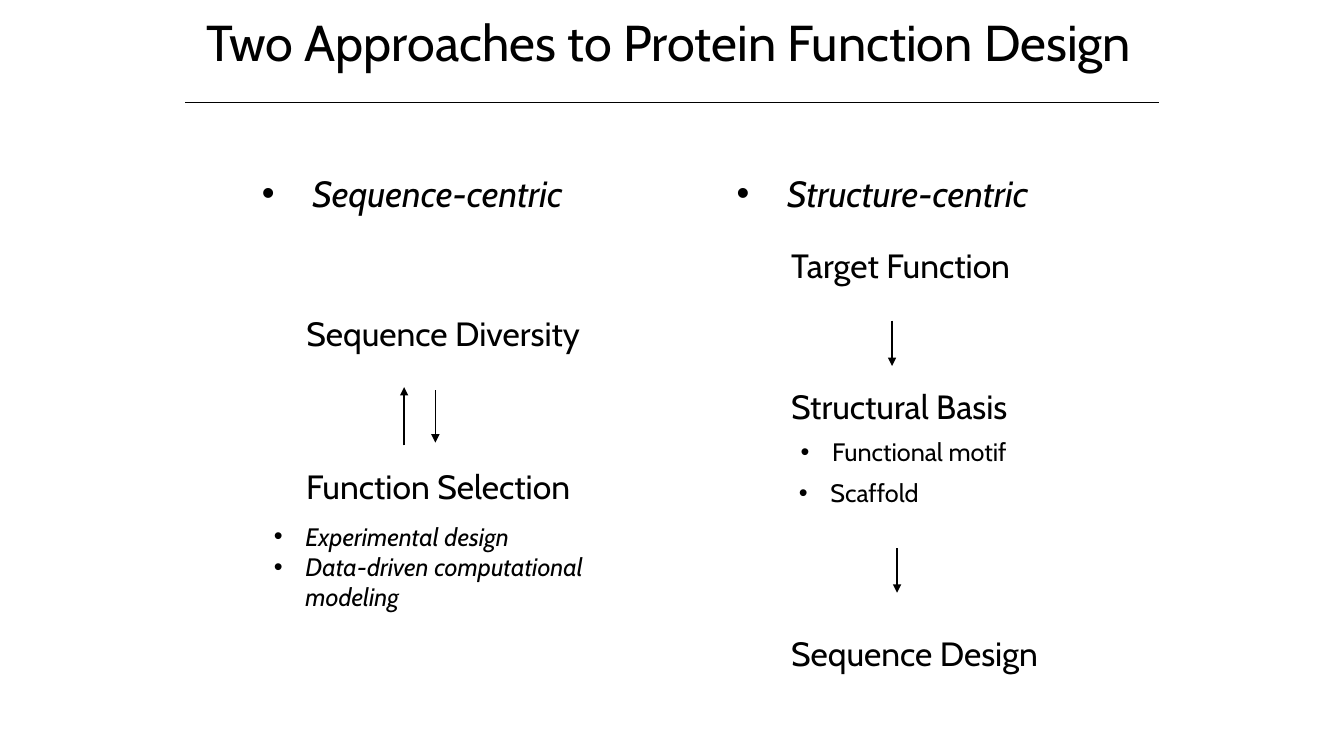
import pptx
import pptx.dml.color
import pptx.enum.shapes
import pptx.enum.text
import pptx.oxml
import pptx.oxml.ns
import pptx.util
from dataclasses import dataclass
from typing import NamedTuple

Pt = pptx.util.Pt
ALIGN = pptx.enum.text.PP_ALIGN


@dataclass(frozen=True)
class Theme:
    font: str = "Cabin"
    ink: pptx.dml.color.RGBColor = pptx.dml.color.RGBColor(0, 0, 0)
    paper: pptx.dml.color.RGBColor = pptx.dml.color.RGBColor(255, 255, 255)
    title: int = 36
    heading: int = 26
    step: int = 24
    detail: int = 18
    line: int = 1
    heading_indent: float = 36
    detail_indent: float = 22.5


class Box(NamedTuple):
    left: float
    top: float
    width: float
    height: float

    def inner(self, left, top, width, height):
        """Return a box whose corner is offset from this one's."""
        return Box(self.left + left, self.top + top, width, height)


THEME = Theme()


def add_drawing_element(parent, tag, **attributes):
    element = pptx.oxml.parse_xml(f"<a:{tag} {pptx.oxml.ns.nsdecls('a')}/>")
    for name, value in attributes.items():
        element.set(name, str(value))
    parent.append(element)


def add_text(shapes, box, lines, size, indent=0, italic=False,
             align=ALIGN.LEFT, wrap=True, grow=True):
    """Add a text box; a non-zero indent makes its lines bullets."""
    frame = shapes.add_textbox(*map(Pt, box)).text_frame
    frame.word_wrap = wrap
    if grow:
        frame.auto_size = pptx.enum.text.MSO_AUTO_SIZE.SHAPE_TO_FIT_TEXT
    frame.text = "\n".join(lines)
    for para in frame.paragraphs:
        para.alignment = align
        if indent:
            properties = para._p.get_or_add_pPr()
            properties.set("marL", str(Pt(indent)))
            properties.set("indent", str(-Pt(indent)))
            add_drawing_element(properties, "buFont", typeface="Arial")
            add_drawing_element(properties, "buChar", char="•")
        for span in para.runs:
            span.font.name = THEME.font
            span.font.size = Pt(size)
            span.font.italic = italic
            span.font.color.rgb = THEME.ink
    return frame


def add_line(shapes, start, end, arrow=False):
    line = shapes.add_connector(pptx.enum.shapes.MSO_CONNECTOR.STRAIGHT,
                                *map(Pt, (*start, *end)))
    line.line.color.rgb = THEME.ink
    line.line.width = Pt(THEME.line)
    if arrow:
        add_drawing_element(line.line._get_or_add_ln(), "tailEnd", type="triangle")
    add_drawing_element(line._element.spPr, "effectLst")


def add_vertical_arrow(shapes, box, x, start, end):
    """Draw an arrow at offset x, between two offsets from the box's top."""
    add_line(shapes, (box.left + x, box.top + start),
             (box.left + x, box.top + end), arrow=True)


def add_title(page, box):
    frame = add_text(page.shapes, box.inner(3.6, 0, 683.3, 54.7),
                     ["Two Approaches to Protein Function Design"],
                     THEME.title, align=ALIGN.CENTER, grow=False)
    frame.paragraphs[0].line_spacing = 0.9
    rule = box.top + box.height
    add_line(page.shapes, (box.left, rule), (box.left + box.width, rule))


def add_heading(page, box, text):
    add_text(page.shapes, box.inner(0, 0, box.width, 38.9), [text],
             THEME.heading, THEME.heading_indent, italic=True)


def add_sequence_column(page, box):
    add_heading(page, box, "Sequence-centric")
    shapes = page.shapes.add_group_shape().shapes
    for text, top, width in (("Sequence Diversity", 101.5, 214.6),
                             ("Function Selection", 210.2, 211)):
        add_text(shapes, box.inner(31.7, top, width, 36), [text],
                 THEME.step, wrap=False)
    add_vertical_arrow(shapes, box, 131, 159.8, 197.3)
    add_vertical_arrow(shapes, box, 108.7, 199.4, 157.7)
    add_text(shapes, box.inner(8.6, 249.8, box.width, 72.7),
             ["Experimental design", "Data-driven computational modeling"],
             THEME.detail, THEME.detail_indent, italic=True)


def add_structure_column(page, box):
    add_heading(page, box, "Structure-centric")
    shapes = page.shapes.add_group_shape().shapes
    for text, top, width, wrap in (("Target Function", 52.6, 174.2, False),
                                   ("Structural Basis", 153.4, 223.9, True),
                                   ("Sequence Design", 329.8, 239.8, True)):
        add_text(shapes, box.inner(38.9, top, width, 36), [text],
                 THEME.step, wrap=wrap)
    for text, left, top, width in (("Functional motif", 36, 189.4, 180.7),
                                   ("Scaffold", 12.2, 218.9, 164.2)):
        add_text(shapes, box.inner(left, top, width, 28.8), [text],
                 THEME.detail, THEME.detail_indent, align=ALIGN.CENTER)
    add_vertical_arrow(shapes, box, 118.1, 110.2, 142.6)
    add_vertical_arrow(shapes, box, 121.7, 272.9, 304.6)


def main():
    deck = pptx.Presentation()
    deck.slide_width, deck.slide_height = Pt(960), Pt(540)
    page = deck.slides.add_slide(deck.slide_layouts[6])
    page.background.fill.solid()
    page.background.fill.fore_color.rgb = THEME.paper
    add_title(page, Box(132.5, 9.4, 695.5, 64))
    add_sequence_column(page, Box(180, 118.8, 271.4, 323))
    add_structure_column(page, Box(519.1, 118.8, 271.4, 366))
    deck.save("out.pptx")


if __name__ == "__main__":
    main()
